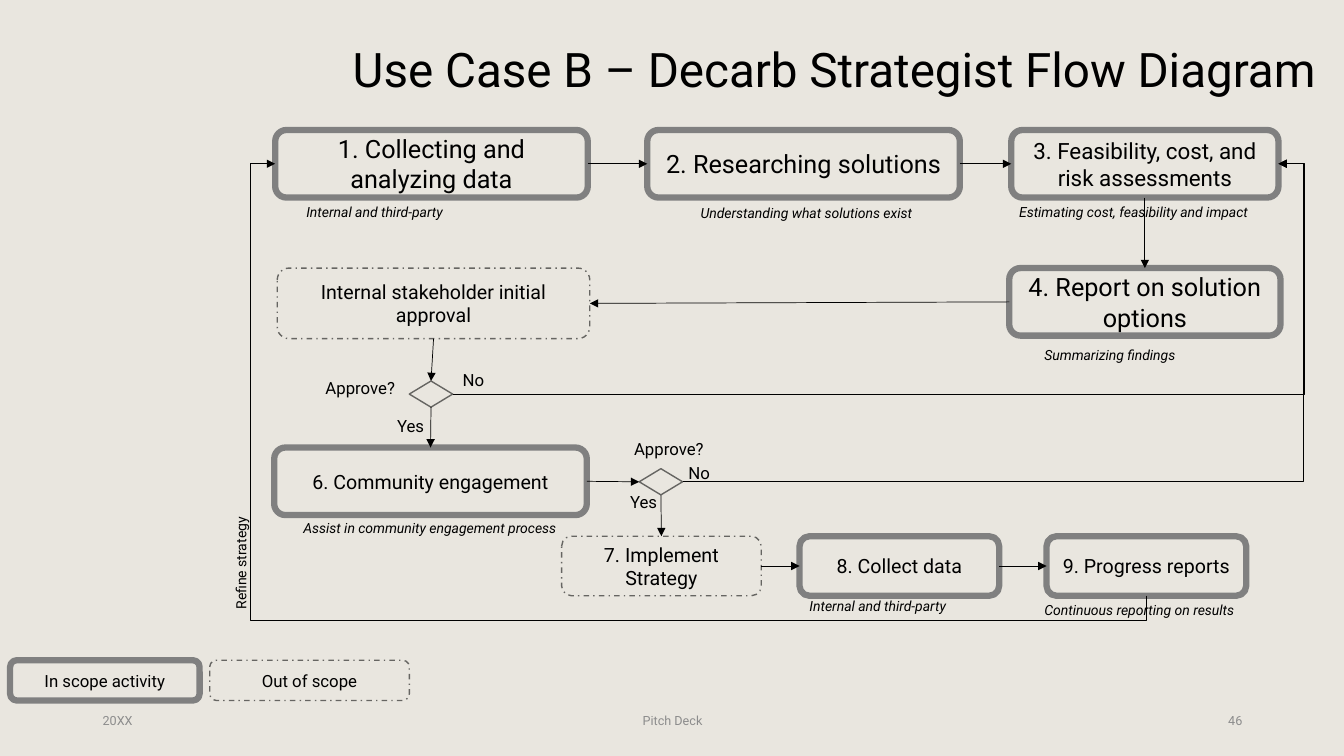
from dataclasses import dataclass

from lxml.etree import SubElement
from pptx import Presentation
from pptx.dml.color import RGBColor
from pptx.enum.dml import MSO_LINE
from pptx.enum.shapes import MSO_CONNECTOR, MSO_SHAPE
from pptx.enum.text import MSO_ANCHOR, MSO_AUTO_SIZE, PP_ALIGN
from pptx.oxml.ns import qn
from pptx.util import Inches, Pt


@dataclass(frozen=True)
class Theme:
    font: str = "Roboto"
    background: RGBColor = RGBColor(0xE9, 0xE6, 0xDF)
    ink: RGBColor = RGBColor(0, 0, 0)
    footer_ink: RGBColor = RGBColor(0x8C, 0x8C, 0x8C)
    scope_line: RGBColor = RGBColor(0x80, 0x80, 0x80)
    thin_line: RGBColor = RGBColor(0x66, 0x65, 0x62)
    title: int = 34
    large: int = 18
    medium: int = 16
    body: int = 14
    label: int = 12
    caption: int = 10
    footer: int = 9


THEME = Theme()
TOP, LEFT, BOTTOM, RIGHT = range(4)
RETURN_LANE = Inches(12.93)
REFINE_LANE = Inches(2.48)
REFINE_FLOOR = Inches(6.15)


def write(shape, text, size, color=THEME.ink, align=PP_ALIGN.LEFT, italic=False):
    frame = shape.text_frame
    frame.word_wrap = True
    frame.text = text
    para = frame.paragraphs[0]
    para.alignment = align
    font = para.runs[0].font
    font.name, font.size, font.italic = THEME.font, Pt(size), italic
    font.color.rgb = color


def add_label(page, text, left, top, width, height, size, italic=False):
    box = page.shapes.add_textbox(*map(Inches, (left, top, width, height)))
    write(box, text, size, italic=italic)
    box.text_frame.auto_size = MSO_AUTO_SIZE.SHAPE_TO_FIT_TEXT
    return box


def add_footer(page, text, left, width, align):
    box = page.shapes.add_textbox(*map(Inches, (left, 6.95, width, 0.4)))
    write(box, text, THEME.footer, THEME.footer_ink, align)
    box.text_frame.vertical_anchor = MSO_ANCHOR.MIDDLE


def add_outlined(page, kind, bounds, color, weight):
    shape = page.shapes.add_shape(kind, *map(Inches, bounds))
    shape.shadow.inherit = False
    shape.fill.solid()
    shape.fill.fore_color.rgb = THEME.background
    shape.line.color.rgb = color
    shape.line.width = Pt(weight)
    return shape


def add_step(page, text, left, top, width, height, size, in_scope=True):
    color, weight = (THEME.scope_line, 4.5) if in_scope else (THEME.thin_line, 1)
    step = add_outlined(page, MSO_SHAPE.ROUNDED_RECTANGLE,
                        (left, top, width, height), color, weight)
    if not in_scope:
        step.line.dash_style = MSO_LINE.DASH_DOT
    write(step, text, size, align=PP_ALIGN.CENTER)
    step.text_frame.vertical_anchor = MSO_ANCHOR.MIDDLE
    return step


def add_decision(page, left, top):
    return add_outlined(page, MSO_SHAPE.FLOWCHART_DECISION,
                        (left, top, 0.43, 0.26), THEME.thin_line, 1)


def add_arrow(page, start, start_side, end, end_side, kind=MSO_CONNECTOR.STRAIGHT):
    arrow = page.shapes.add_connector(kind, 0, 0, 0, 0)
    arrow.begin_connect(start, start_side)
    arrow.end_connect(end, end_side)
    arrow.line.color.rgb = THEME.ink
    arrow.line.width = Pt(0.5)
    line = arrow._element.spPr.find(qn("a:ln"))
    SubElement(line, qn("a:tailEnd"), type="triangle")
    SubElement(arrow._element.spPr, qn("a:effectLst"))
    return arrow


def set_bends(arrow, preset, *ratios):
    geometry = arrow._element.spPr.find(qn("a:prstGeom"))
    geometry.set("prst", preset)
    for guides in geometry.findall(qn("a:avLst")):
        geometry.remove(guides)
    guides = SubElement(geometry, qn("a:avLst"))
    for number, ratio in enumerate(ratios, 1):
        SubElement(guides, qn("a:gd"), name=f"adj{number}",
                   fmla=f"val {round(ratio * 100000)}")


def add_return(page, decision, target):
    """Route a rejected decision up the right-hand lane."""
    arrow = add_arrow(page, decision, RIGHT, target, RIGHT, MSO_CONNECTOR.ELBOW)
    span = arrow.end_x - arrow.begin_x
    set_bends(arrow, "bentConnector3", (RETURN_LANE - arrow.begin_x) / span)


def add_refine_loop(page, start, target):
    """Route below the last row and up the left-hand lane."""
    arrow = add_arrow(page, start, BOTTOM, target, LEFT, MSO_CONNECTOR.ELBOW)
    begin_x, begin_y = arrow.begin_x, arrow.begin_y
    across, rise = begin_x - arrow.end_x, begin_y - arrow.end_y
    center_x, center_y = begin_x - across // 2, begin_y - rise // 2
    # The four-part connector is turned a quarter, so its sides swap
    arrow.left, arrow.top = center_x - rise // 2, center_y - across // 2
    arrow.width, arrow.height = rise, across
    frame = arrow._element.spPr.find(qn("a:xfrm"))
    frame.attrib.pop("flipV", None)
    frame.set("flipH", "1")
    frame.set("rot", "5400000")
    set_bends(arrow, "bentConnector4", (begin_y - REFINE_FLOOR) / rise,
              (begin_x - REFINE_LANE) / across)


def main():
    deck = Presentation()
    deck.slide_width, deck.slide_height = Inches(13.33), Inches(7.5)
    page = deck.slides.add_slide(deck.slide_layouts[6])
    page.background.fill.solid()
    page.background.fill.fore_color.rgb = THEME.background

    # Title and footer
    add_label(page, "Use Case B – Decarb Strategist Flow Diagram",
              3.4, 0.35, 9.81, 0.67, THEME.title)
    add_footer(page, "20XX", 0.92, 3, PP_ALIGN.LEFT)
    add_footer(page, "Pitch Deck", 4.42, 4.5, PP_ALIGN.CENTER)
    add_footer(page, "46", 9.42, 3, PP_ALIGN.RIGHT)

    # Steps, row by row
    collect = add_step(page, "1. Collecting and analyzing data",
                       2.73, 1.29, 3.1, 0.67, THEME.large)
    research = add_step(page, "2. Researching solutions",
                        6.42, 1.29, 3.1, 0.67, THEME.large)
    assess = add_step(page, "3. Feasibility, cost, and risk assessments",
                      10.03, 1.29, 2.65, 0.67, THEME.medium)
    approval = add_step(page, "Internal stakeholder initial approval",
                        2.75, 2.66, 3.1, 0.7, THEME.body, in_scope=False)
    report = add_step(page, "4. Report on solution options",
                      10.01, 2.66, 2.69, 0.67, THEME.large)
    engage = add_step(page, "6. Community engagement",
                      2.72, 4.44, 3.1, 0.67, THEME.body)
    implement = add_step(page, "7. Implement Strategy",
                         5.57, 5.32, 1.98, 0.59, THEME.body, in_scope=False)
    measure = add_step(page, "8. Collect data", 7.93, 5.32, 1.98, 0.59, THEME.body)
    progress = add_step(page, "9. Progress reports",
                        10.38, 5.32, 1.98, 0.59, THEME.body)

    # Decisions
    first_decision = add_decision(page, 4.06, 3.78)
    second_decision = add_decision(page, 6.34, 4.65)

    # Arrows
    for link in (
        (collect, RIGHT, research, LEFT),
        (research, RIGHT, assess, LEFT),
        (assess, BOTTOM, report, TOP),
        (report, LEFT, approval, RIGHT),
        (approval, BOTTOM, first_decision, TOP),
        (first_decision, BOTTOM, engage, TOP),
        (engage, RIGHT, second_decision, LEFT),
        (second_decision, BOTTOM, implement, TOP),
        (implement, RIGHT, measure, LEFT),
        (measure, RIGHT, progress, LEFT),
    ):
        add_arrow(page, *link)
    for decision in (first_decision, second_decision):
        add_return(page, decision, assess)
    add_refine_loop(page, progress, collect)

    # Decision labels
    for text, left, top, width in (
        ("Approve?", 3.13, 3.7, 1.1), ("No", 4.49, 3.62, 1.1), ("Yes", 3.84, 4.08, 0.5),
        ("Approve?", 6.19, 4.3, 1.1), ("No", 6.73, 4.54, 1.1), ("Yes", 6.15, 4.83, 0.55),
    ):
        add_label(page, text, left, top, width, 0.3, THEME.label)
    refine = add_label(page, "Refine strategy", 1.68, 5.3, 1.42, 0.27, THEME.caption)
    refine.rotation = 270

    # Captions under the steps
    for text, left, top, width in (
        ("Internal and third-party", 2.94, 1.97, 3.4),
        ("Understanding what solutions exist", 6.85, 1.98, 3.4),
        ("Estimating cost, feasibility and impact", 10.01, 1.97, 2.87),
        ("Summarizing findings", 10.26, 3.39, 2.91),
        ("Assist in community engagement process", 2.91, 5.1, 3.09),
        ("Internal and third-party", 7.93, 5.88, 3.09),
        ("Continuous reporting on results", 10.26, 5.92, 2.51),
    ):
        add_label(page, text, left, top, width, 0.27, THEME.caption, italic=True)

    # Legend
    add_step(page, "In scope activity", 0.1, 6.55, 1.88, 0.4, THEME.label)
    add_step(page, "Out of scope", 2.08, 6.55, 1.98, 0.4, THEME.label, in_scope=False)

    deck.save("out.pptx")


if __name__ == "__main__":
    main()
